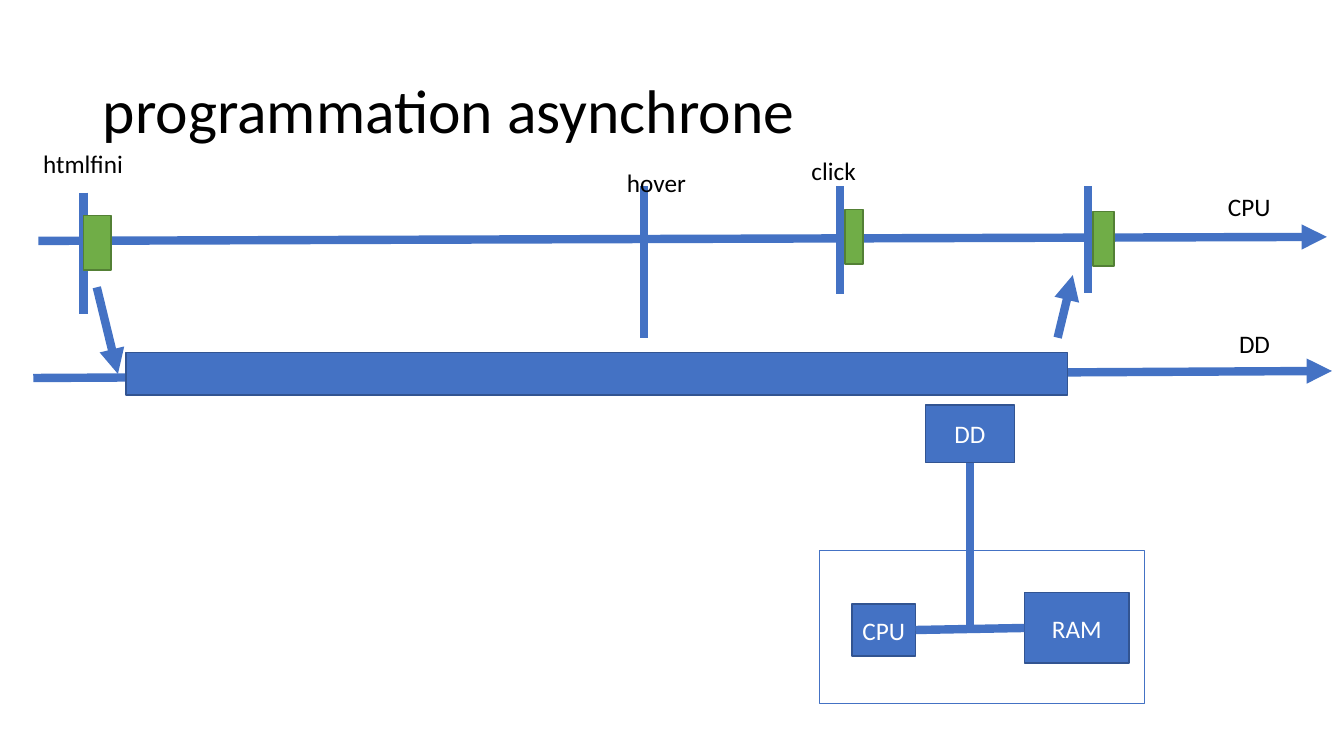
from typing import NamedTuple

from lxml import etree
from pptx import Presentation
from pptx.dml.color import RGBColor
from pptx.enum import shapes, text
from pptx.oxml import ns
from pptx.util import Inches, Pt

FONT = "Calibri"
BLUE, DARK_BLUE = "4472C4", "325491"
GREEN, DARK_GREEN = "70AD47", "538035"
BLACK, WHITE = "000000", "FFFFFF"


class Box(NamedTuple):
    left: float
    top: float
    width: float
    height: float
    label: str = ""
    fill: str = BLUE
    outline: str = DARK_BLUE


class Line(NamedTuple):
    x1: float
    y1: float
    x2: float
    y2: float
    arrow: bool = False


class Label(NamedTuple):
    left: float
    top: float
    width: float
    words: str


def colour(hex_value: str) -> RGBColor:
    return RGBColor.from_string(hex_value)


def format_text(para, size: float, hex_value: str) -> None:
    for span in para.runs:
        span.font.name = FONT
        span.font.size = Pt(size)
        span.font.color.rgb = colour(hex_value)


def draw_box(page, box: Box):
    shape = page.shapes.add_shape(
        shapes.MSO_SHAPE.RECTANGLE, *(Inches(length) for length in box[:4]))
    shape.shadow.inherit = False
    shape.fill.solid()
    shape.fill.fore_color.rgb = colour(box.fill)
    shape.line.color.rgb = colour(box.outline)
    shape.line.width = Pt(1)
    if box.label:
        frame = shape.text_frame
        frame.text = box.label
        frame.word_wrap = False
        frame.vertical_anchor = text.MSO_ANCHOR.MIDDLE
        frame.paragraphs[0].alignment = text.PP_ALIGN.CENTER
        format_text(frame.paragraphs[0], 18, WHITE)
    return shape


def draw_line(page, line: Line):
    connector = page.shapes.add_connector(
        shapes.MSO_CONNECTOR.STRAIGHT, *(Inches(length) for length in line[:4]))
    connector.line.color.rgb = colour(BLUE)
    connector.line.width = Pt(6)
    if line.arrow:
        etree.SubElement(connector.line._get_or_add_ln(), ns.qn("a:tailEnd"), type="triangle")
    etree.SubElement(connector._element.spPr, ns.qn("a:effectLst"))
    return connector


def draw_label(page, label: Label) -> None:
    box = page.shapes.add_textbox(
        Inches(label.left), Inches(label.top), Inches(label.width), Inches(0.4))
    frame = box.text_frame
    frame.text = label.words
    frame.word_wrap = False
    frame.auto_size = text.MSO_AUTO_SIZE.SHAPE_TO_FIT_TEXT
    format_text(frame.paragraphs[0], 18, BLACK)


def draw_title(page, words: str) -> None:
    title = page.shapes.title
    title.left, title.top = Inches(0.92), Inches(0.4)
    title.width, title.height = Inches(11.5), Inches(1.45)
    frame = title.text_frame
    frame.text = words
    frame.word_wrap = True
    frame.auto_size = text.MSO_AUTO_SIZE.NONE
    frame.vertical_anchor = text.MSO_ANCHOR.MIDDLE
    para = frame.paragraphs[0]
    para.alignment = text.PP_ALIGN.LEFT
    para.line_spacing = 0.9
    format_text(para, 44, BLACK)


TIMELINES = [
    Line(0.38, 2.39, 13.16, 2.35, arrow=True),
    Line(0.33, 3.75, 13.21, 3.68, arrow=True),
]
EVENTS = [
    Line(0.83, 1.91, 0.83, 3.12),
    Line(6.39, 1.85, 6.39, 3.35),
    Line(8.33, 1.85, 8.33, 2.92),
    Line(10.79, 1.85, 10.79, 2.91),
]
HANDOVERS = [
    Line(0.96, 2.85, 1.17, 3.71, arrow=True),
    Line(10.49, 3.35, 10.64, 2.73, arrow=True),
]
CALLBACKS = [
    Box(left, top, width, 0.54, fill=GREEN, outline=DARK_GREEN)
    for left, top, width in [(0.83, 2.14, 0.27), (8.38, 2.08, 0.18), (10.84, 2.1, 0.21)]
]
DISK_TASK = Box(1.25, 3.5, 9.34, 0.42)
LABELS = [
    Label(0.33, 1.42, 1, "htmlfini"),
    Label(6.12, 1.61, 0.79, "hover"),
    Label(7.95, 1.49, 0.65, "click"),
    Label(12.08, 1.85, 0.63, "CPU"),
    Label(12.19, 3.21, 0.51, "DD"),
]


def draw_timelines(page) -> None:
    for line in TIMELINES + EVENTS + HANDOVERS:
        draw_line(page, line)
    for box in CALLBACKS + [DISK_TASK]:
        draw_box(page, box)
    for label in LABELS:
        draw_label(page, label)


def draw_computer(page) -> None:
    draw_box(page, Box(8.13, 5.46, 3.22, 1.52, fill=WHITE, outline=BLUE))
    processor = draw_box(page, Box(8.45, 5.99, 0.63, 0.52, "CPU"))
    memory = draw_box(page, Box(10.16, 5.88, 1.04, 0.7, "RAM"))
    disk = draw_box(page, Box(9.18, 4.02, 0.88, 0.57, "DD"))
    bus = draw_line(page, Line(9.08, 6.25, 10.16, 6.23))
    bus.begin_connect(processor, 3)
    bus.end_connect(memory, 1)
    disk_link = draw_line(page, Line(9.62, 4.59, 9.62, 6.23))
    disk_link.begin_connect(disk, 2)


def main() -> None:
    deck = Presentation()
    deck.slide_width, deck.slide_height = Inches(13.33), Inches(7.5)
    page = deck.slides.add_slide(deck.slide_layouts.get_by_name("Title Only"))
    draw_title(page, "programmation asynchrone")
    draw_timelines(page)
    draw_computer(page)
    deck.save("out.pptx")


if __name__ == "__main__":
    main()
